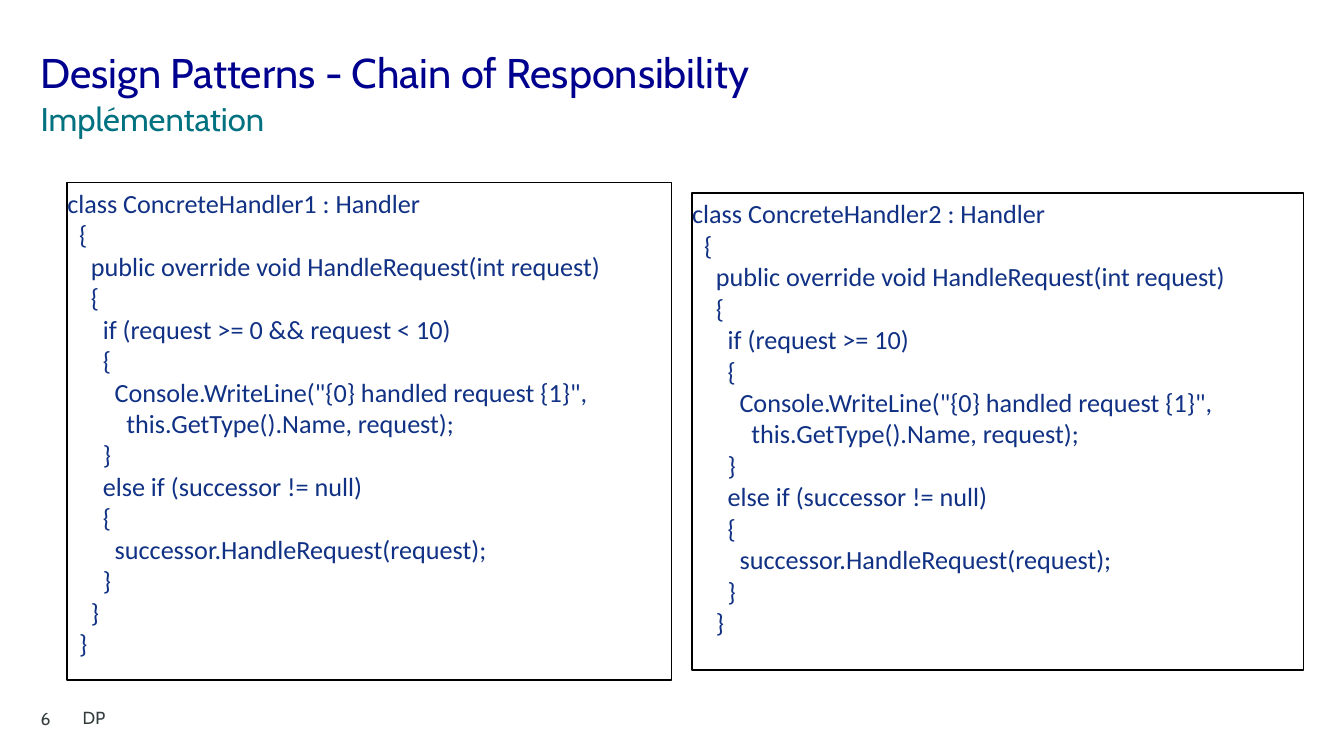
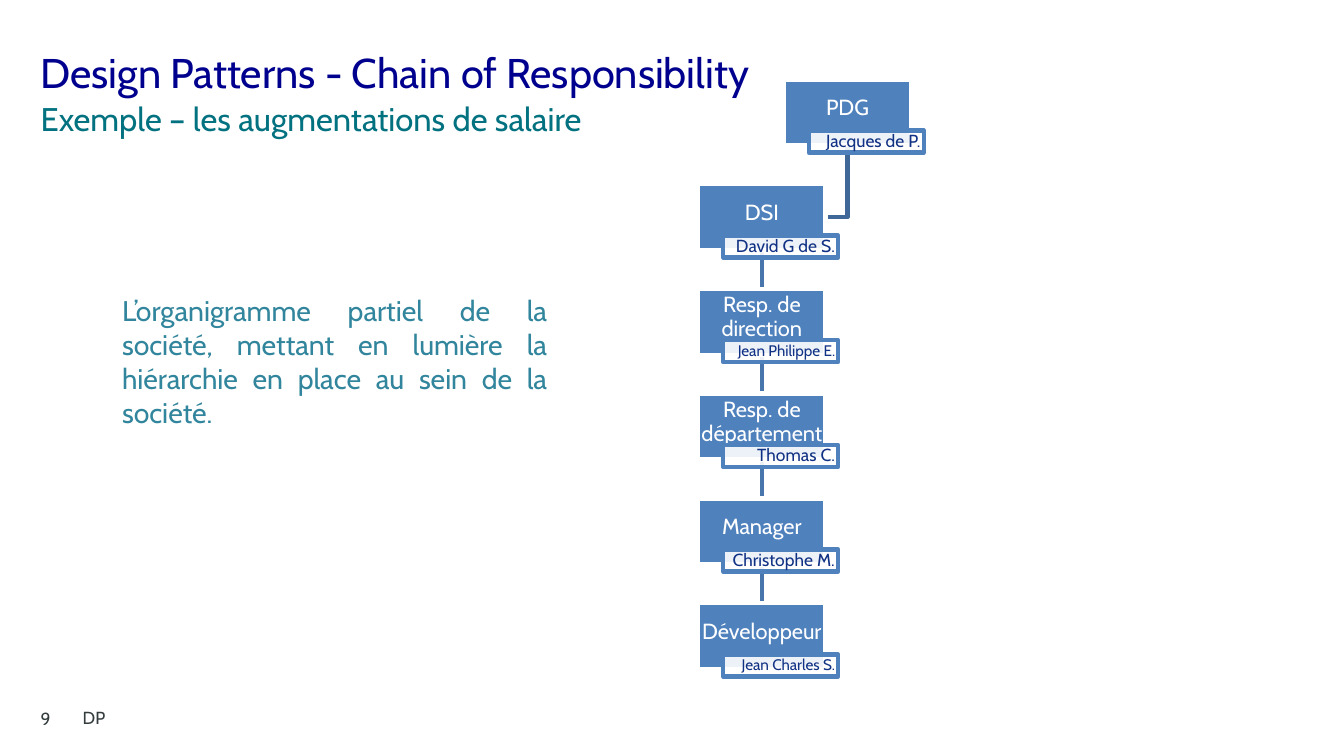
from pptx import Presentation
from pptx.dml.color import RGBColor
from pptx.enum import shapes, text
from pptx.oxml import ns
from pptx.util import Pt
from lxml import etree

# Theme
THEME = {
    "font": "Cabin", "code font": "Calibri",
    "navy": "00008F", "teal": "027180", "gray": "343C3D", "ink": "103184",
    "sea": "31859C", "blue": "4F81BD", "link": "4875AC", "elbow": "3F6797",
    "white": "FFFFFF", "black": "000000",
    "title": 19, "sub": 15, "body": 13, "code": 12, "role": 10, "foot": 8,
}
SIZE = (615.12, 346)
ALIGN, ANCHOR = text.PP_ALIGN, text.MSO_ANCHOR

# Content
TITLE = "Design Patterns - Chain of Responsibility"
FOOT = "DP"
PAGES = {"code": (6, "Implémentation"),
         "chart": (9, "Exemple – les augmentations de salaire")}


def handler(num, test):
    """Lines of one handler class, as (indent level, text)."""
    return [
        (0, f"class ConcreteHandler{num} : Handler"),
        (1, "{"),
        (2, "public override void HandleRequest(int request)"),
        (2, "{"),
        (3, f"if ({test})"),
        (3, "{"),
        (4, 'Console.WriteLine("{0} handled request {1}",'),
        (5, "this.GetType().Name, request);"),
        (3, "}"),
        (3, "else if (successor != null)"),
        (3, "{"),
        (4, "successor.HandleRequest(request);"),
        (3, "}"),
        (2, "}"),
    ]


CODE = [
    ((30.8, 83.6, 276.6, 227.6), handler(1, "request >= 0 && request < 10") + [(1, "}")]),
    ((316.8, 88.4, 279.8, 218.2), handler(2, "request >= 10")),
]
STEP = 5.42  # indent of one code level

STAFF = [  # role, person, size of the person's name
    ("PDG", "Jacques de P.", 8),
    ("DSI", "David G de S.", 8),
    ("Resp. de direction", "Jean Philippe E.", 7),
    ("Resp. de département", "Thomas C.", 8),
    ("Manager", "Christophe M.", 8),
    ("Développeur", "Jean Charles S.", 7),
]
NOTE = ("L’organigramme partiel de la société, mettant en lumière "
        "la hiérarchie en place au sein de la société.")

# Chart grid
LEFT, TOP, PITCH = 319.5, 36.3, 47.95
WIDE, HIGH, SHIFT = 58.4, 30.2, 39.2
TAG = (11.5, 23.5, 52.6, 10.1)  # offset and size of the name tag


def color(name):
    return RGBColor.from_string(THEME[name])


def write(shape, lines, size, ink, font="font", align=ALIGN.LEFT,
          anchor=ANCHOR.TOP, inset=(0, 0, 0, 0), space=1.0):
    """Set the text of a shape from (indent level, text) pairs."""
    frame = shape.text_frame
    form = dict(zip(("margin_left", "margin_top", "margin_right", "margin_bottom"),
                    map(Pt, inset)), word_wrap=True, vertical_anchor=anchor)
    for key, val in form.items():
        setattr(frame, key, val)
    for i, (level, line) in enumerate(lines):
        para = frame.add_paragraph() if i else frame.paragraphs[0]
        para.alignment, para.line_spacing = align, space
        if level:
            para._p.get_or_add_pPr().set("marL", str(Pt(level * STEP)))
        run = para.add_run()
        run.text = line
        for key, val in {"name": THEME[font], "size": Pt(size)}.items():
            setattr(run.font, key, val)
        run.font.color.rgb = color(ink)


def label(slide, at, words, size, ink, **form):
    box = slide.shapes.add_textbox(*map(Pt, at))
    write(box, [(0, words)], size, ink, **form)


def stroke(shape, ink, width):
    shape.line.color.rgb = color(ink)
    shape.line.width = Pt(width)


def rect(slide, at, fill, line, width):
    box = slide.shapes.add_shape(shapes.MSO_SHAPE.RECTANGLE, *map(Pt, at))
    box.shadow.inherit = False
    if fill:
        box.fill.solid()
        box.fill.fore_color.rgb = color(fill)
    else:
        box.fill.background()
    stroke(box, line, width)
    return box


def start(deck, page):
    """New slide with title, subtitle and footer."""
    num, sub = PAGES[page]
    slide = deck.slides.add_slide(deck.slide_layouts[6])
    label(slide, (18.6, 322.2, 17.3, 11.5), str(num), THEME["foot"], "gray",
          anchor=ANCHOR.BOTTOM)
    label(slide, (18.6, 21.6, 578, 22.3), TITLE, THEME["title"], "navy")
    label(slide, (18.6, 45.4, 578, 17.3), sub, THEME["sub"], "teal")
    label(slide, (30.8, 320, 219, 18.7), FOOT, THEME["foot"], "gray",
          inset=(7.2, 3.6, 7.2, 3.6))
    return slide


def code(deck):
    slide = start(deck, "code")
    for at, lines in CODE:
        box = rect(slide, at, None, "black", 0.75)
        write(box, lines, THEME["code"], "ink", "code font", inset=(0, 2, 0, 0))


def links(slide, spots):
    """Elbow from the head, then straight lines down the chain."""
    (x, y), (left, top) = spots[:2]
    mid, turn = x + WIDE / 2, top + HIGH / 2
    path = slide.shapes.build_freeform(Pt(mid), Pt(y + HIGH))
    path.add_line_segments([(Pt(mid), Pt(turn)), (Pt(left + WIDE), Pt(turn))],
                           close=False)
    elbow = path.convert_to_shape()
    elbow.shadow.inherit = False
    elbow.fill.background()
    stroke(elbow, "elbow", 2)
    for (x, y), (_, end) in zip(spots[1:], spots[2:]):
        mid = x + WIDE / 2
        line = slide.shapes.add_connector(
            shapes.MSO_CONNECTOR.STRAIGHT, *map(Pt, (mid, y + HIGH, mid, end)))
        stroke(line, "link", 2)
        etree.SubElement(line._element.spPr, ns.qn("a:effectLst"))


def chart(deck):
    slide = start(deck, "chart")
    spots = [(LEFT + (0 if i else SHIFT), TOP + i * PITCH)
             for i in range(len(STAFF))]
    links(slide, spots)
    dx, dy, wide, high = TAG
    for (x, y), (role, name, size) in zip(spots, STAFF):
        box = rect(slide, (x, y, WIDE, HIGH), "blue", "white", 2)
        write(box, [(0, role)], THEME["role"], "white", align=ALIGN.CENTER,
              anchor=ANCHOR.MIDDLE, inset=(0.5, 0.5, 0.5, 4.3), space=0.9)
        tag = rect(slide, (x + dx, y + dy, wide, high), "white", "blue", 2)
        fill = tag._element.spPr.find(ns.qn("a:solidFill"))
        etree.SubElement(fill[0], ns.qn("a:alpha"), val="90000")
        write(tag, [(0, name)], size, "ink", align=ALIGN.RIGHT,
              anchor=ANCHOR.MIDDLE, inset=(1.4, 0.5, 1.4, 0.5), space=0.9)
    label(slide, (55.9, 133.2, 194.4, 63.4), NOTE, THEME["body"], "sea",
          align=ALIGN.JUSTIFY, anchor=ANCHOR.BOTTOM)


def main():
    deck = Presentation()
    deck.slide_width, deck.slide_height = map(Pt, SIZE)
    code(deck)
    chart(deck)
    deck.save("out.pptx")


if __name__ == "__main__":
    main()
